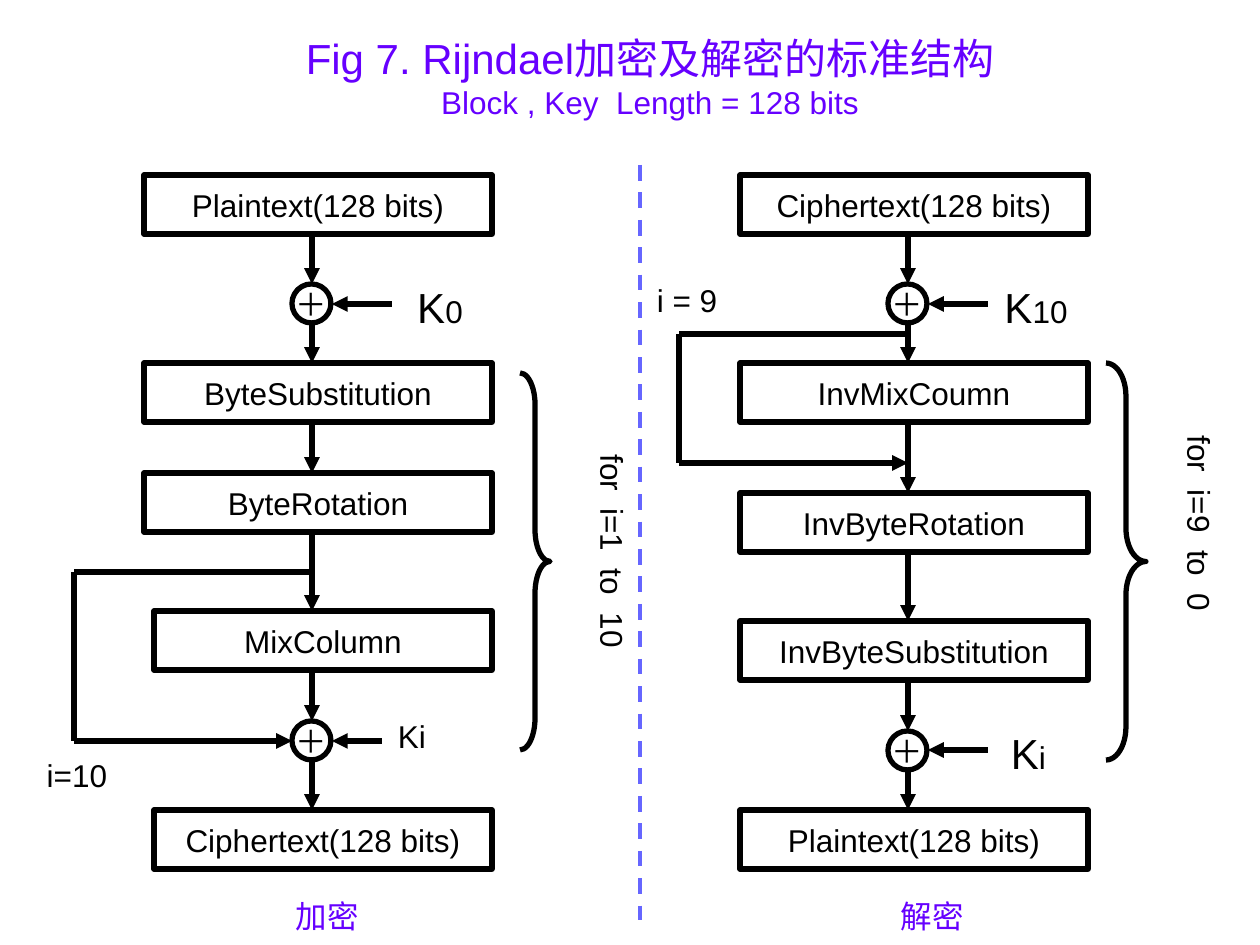
from dataclasses import dataclass
from itertools import pairwise

from lxml.etree import SubElement
from pptx import Presentation
from pptx.dml.color import RGBColor as Color
from pptx.enum.dml import MSO_LINE as Dash
from pptx.enum.shapes import MSO_CONNECTOR as Connector, MSO_SHAPE as Preset
from pptx.enum.text import MSO_ANCHOR as Anchor, MSO_AUTO_SIZE as AutoSize, PP_ALIGN as Align
from pptx.oxml.ns import qn
from pptx.util import Pt

PX = 914400 / 126


@dataclass(frozen=True)
class Theme:
    font: str = "Arial"
    large: Pt = Pt(24)
    body: Pt = Pt(18)
    stroke: Pt = Pt(3)
    thin: Pt = Pt(2.25)
    ink: Color = Color(0, 0, 0)
    paper: Color = Color(255, 255, 255)
    accent: Color = Color(0x66, 0x00, 0xFF)
    divider: Color = Color(0x66, 0x66, 0xFF)


theme = Theme()
deck = Presentation()
deck.slide_width, deck.slide_height = round(1260 * PX), round(945 * PX)
page = deck.slides.add_slide(deck.slide_layouts[5])


def write(shape, lines, color=theme.ink, anchor=Anchor.TOP, wrap=True, align=Align.CENTER):
    """Fill a shape with paragraphs, each a list of (text, size) runs."""
    frame = shape.text_frame
    frame.word_wrap, frame.vertical_anchor = wrap, anchor
    frame.auto_size = AutoSize.NONE
    for index, runs in enumerate(lines):
        para = frame.add_paragraph() if index else frame.paragraphs[0]
        para.alignment = align
        para.font.name, para.font.color.rgb = theme.font, color
        para.font.size = runs[0][1]
        for text, size in runs:
            span = para.add_run()
            span.text = text
            if size != runs[0][1]:
                span.font.size = size


def draw_line(points, arrow=True, color=theme.ink, width=theme.stroke):
    """Join the points by straight connectors and return the last one."""
    for start, end in pairwise(points):
        line = page.shapes.add_connector(
            Connector.STRAIGHT, *(round(value * PX) for value in (*start, *end)))
        line.line.color.rgb, line.line.width = color, width
        SubElement(line._element.spPr, qn("a:effectLst"))
    if arrow:
        SubElement(line.line._get_or_add_ln(), qn("a:tailEnd"), type="triangle")
    return line


title = page.shapes.title
title.left, title.top, title.width, title.height = (
    round(value * PX) for value in (263, 26, 774, 101))
write(title, [[("Fig 7. Rijndael加密及解密的标准结构", theme.large)],
              [("Block , Key  Length = 128 bits", theme.body)]], theme.accent)

divider = draw_line([(640, 165), (640, 920)], False, theme.divider, theme.thin)
divider.line.dash_style = Dash.DASH

# Each column: flow axis, then its nodes from top to bottom as (text, left, top, width)
BOX_HEIGHT, CIRCLE, XOR = 59, 39, "＋"
columns = [
    (312, [("Plaintext(128 bits)", 144, 175, 348),
           (XOR, 292, 284, CIRCLE),
           ("ByteSubstitution", 144, 363, 348),
           ("ByteRotation", 144, 473, 348),
           ("MixColumn", 154, 611, 338),
           (XOR, 292, 721, CIRCLE),
           ("Ciphertext(128 bits)", 154, 810, 338)]),
    (908, [("Ciphertext(128 bits)", 740, 175, 348),
           (XOR, 888, 284, CIRCLE),
           ("InvMixCoumn", 740, 363, 348),
           ("InvByteRotation", 740, 493, 348),
           ("InvByteSubstitution", 740, 621, 348),
           (XOR, 888, 731, CIRCLE),
           ("Plaintext(128 bits)", 740, 810, 348)]),
]
for axis, nodes in columns:
    for (text, _, top, _), (_, _, next_top, _) in pairwise(nodes):
        height = CIRCLE if text == XOR else BOX_HEIGHT
        draw_line([(axis, top + height), (axis, next_top)])

# Round keys entering the XOR circles
for start, end, y in [(392, 332, 304), (382, 332, 741), (988, 928, 304), (988, 928, 750)]:
    draw_line([(start, y), (end, y)])

# Bypasses around the column mixing
draw_line([(312, 572), (74, 572), (74, 741), (292, 741)])
draw_line([(908, 334), (679, 334), (679, 463), (908, 463)])

for axis, nodes in columns:
    for text, left, top, width in nodes:
        is_xor = text == XOR
        node = page.shapes.add_shape(
            Preset.OVAL if is_xor else Preset.RECTANGLE,
            *(round(value * PX)
              for value in (left, top, width, CIRCLE if is_xor else BOX_HEIGHT)))
        node.shadow.inherit = False
        node.fill.solid()
        node.fill.fore_color.rgb = theme.paper
        node.line.color.rgb, node.line.width = theme.ink, theme.stroke
        write(node, [[(text, theme.body)]], anchor=Anchor.MIDDLE, wrap=False)

for left, top, width, height, curve in [(520, 373, 30, 377, 1.06), (1106, 363, 40, 397, 0.83)]:
    brace = page.shapes.add_shape(
        Preset.RIGHT_BRACE, *(round(value * PX) for value in (left, top, width, height)))
    brace.adjustments[0], brace.adjustments[1] = curve, 0.5
    brace.shadow.inherit = False
    brace.fill.background()
    brace.line.color.rgb, brace.line.width = theme.ink, theme.stroke

key = ("K", theme.large)
labels = [
    ([key, ("0", theme.body)], 399, 275, 82, 63, theme.ink),
    ([("Ki", theme.body)], 382, 711, 60, 54, theme.ink),
    ([key, ("10", theme.body)], 986, 275, 100, 63, theme.ink),
    ([key, ("i", theme.body)], 992, 721, 73, 63, theme.ink),
    ([("i=10", theme.body)], 0, 750, 154, 54, theme.ink),
    ([("i = 9", theme.body)], 640, 275, 94, 54, theme.ink),
    ([("加密", theme.body)], 193, 891, 268, 54, theme.accent),
    ([("解密", theme.body)], 838, 891, 189, 54, theme.accent),
]
for runs, left, top, width, height, color in labels:
    box = page.shapes.add_textbox(*(round(value * PX) for value in (left, top, width, height)))
    write(box, [runs], color, wrap=False)

for text, left, top, height in [("for  i=1  to  10", 571, 442, 277),
                                ("for  i=9  to  0", 1158, 423, 307)]:
    box = page.shapes.add_textbox(*(round(value * PX) for value in (left, top, 67, height)))
    write(box, [[(text, theme.body)]], align=Align.LEFT)
    box.text_frame._txBody.bodyPr.set("vert", "eaVert")

deck.save("out.pptx")
